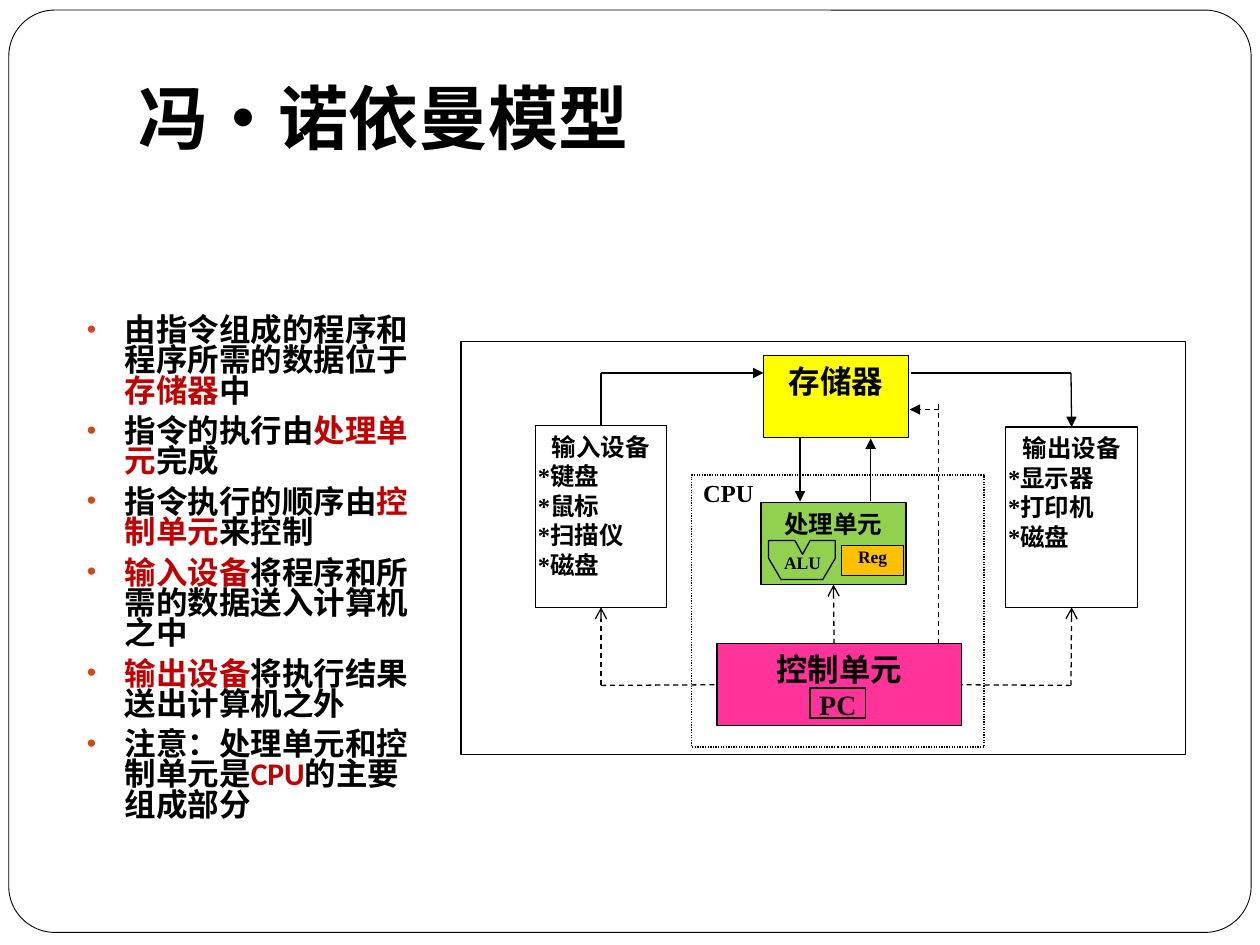
import lxml.etree
import pptx
import pptx.dml.color
import pptx.enum.dml
import pptx.enum.shapes
import pptx.enum.text
import pptx.oxml.ns
import pptx.util

Inches = pptx.util.Inches
Pt = pptx.util.Pt
RGBColor = pptx.dml.color.RGBColor
Shape = pptx.enum.shapes.MSO_SHAPE
Align = pptx.enum.text.PP_ALIGN
Anchor = pptx.enum.text.MSO_ANCHOR
Dash = pptx.enum.dml.MSO_LINE

BLACK = RGBColor(0x00, 0x00, 0x00)
WHITE = RGBColor(0xFF, 0xFF, 0xFF)
RED = RGBColor(0xC0, 0x00, 0x00)
ORANGE_RED = RGBColor(0xD3, 0x48, 0x17)
YELLOW = RGBColor(0xFF, 0xFF, 0x00)
GREEN = RGBColor(0x92, 0xD0, 0x50)
ORANGE = RGBColor(0xFF, 0xC0, 0x00)
PINK = RGBColor(0xFF, 0x33, 0x99)

CJK_FONT = "Noto Sans CJK SC"
BODY_FONT = "Calibri"
DIAGRAM_FONT = "Times New Roman"

TOP, LEFT, BOTTOM, RIGHT = range(4)

# Each bullet is a list of runs: (text, highlighted)
BULLETS = [
    [("由指令组成的程序和程序所需的数据位于", False), ("存储器", True), ("中", False)],
    [("指令的执行由", False), ("处理单元", True), ("完成", False)],
    [("指令执行的顺序由", False), ("控制单元", True), ("来控制", False)],
    [("输入设备", True), ("将程序和所需的数据送入计算机之中", False)],
    [("输出设备", True), ("将执行结果送出计算机之外", False)],
    [("注意：处理单元和控制单元是", False), ("CPU", True), ("的主要组成部分", False)],
]


def add_element(parent, tag, **attributes):
    return lxml.etree.SubElement(parent, pptx.oxml.ns.qn(tag), attributes)


def add_run(paragraph, text, size=18, font=DIAGRAM_FONT, color=BLACK):
    run = paragraph.add_run()
    run.text = text
    run.font.size = Pt(size)
    run.font.bold = True
    run.font.color.rgb = color
    run.font.name = font
    add_element(run._r.get_or_add_rPr(), "a:ea", typeface=CJK_FONT)


class DiagramSlide:
    """Holds the line style and the slide being drawn."""

    line_width = Pt(0.75)
    wide_insets = (0.1, 0.05)
    tight_insets = (0.02, 0)

    def __init__(self, slide):
        self.slide = slide

    def place(self, shape, left, top, width, height):
        shape.left, shape.top = Inches(left), Inches(top)
        shape.width, shape.height = Inches(width), Inches(height)
        shape.text_frame.word_wrap = True
        shape.text_frame.auto_size = pptx.enum.text.MSO_AUTO_SIZE.NONE

    def title(self, text, *bounds):
        title = self.slide.shapes.title
        self.place(title, *bounds)
        title.text_frame.vertical_anchor = Anchor.MIDDLE
        paragraph = title.text_frame.paragraphs[0]
        paragraph.alignment = Align.LEFT
        add_run(paragraph, text, size=40, font=CJK_FONT)

    def bullets(self, items, *bounds):
        body = self.slide.placeholders[1]
        self.place(body, *bounds)
        frame = body.text_frame
        frame.vertical_anchor = Anchor.TOP
        for index, runs in enumerate(items):
            paragraph = frame.add_paragraph() if index else frame.paragraphs[0]
            properties = paragraph._p.get_or_add_pPr()
            properties.set("marL", str(Inches(0.3)))
            properties.set("indent", str(Inches(-0.3)))
            bullet_color = add_element(properties, "a:buClr")
            add_element(bullet_color, "a:srgbClr", val=str(ORANGE_RED))
            add_element(properties, "a:buSzPct", val="85000")
            add_element(properties, "a:buFont", typeface="Arial")
            add_element(properties, "a:buChar", char="•")
            paragraph.line_spacing = 0.8
            paragraph.space_before = Pt(5.8 if index else 0)
            for text, highlighted in runs:
                add_run(paragraph, text, font=BODY_FONT, color=RED if highlighted else BLACK)

    def outline(self, shape, fill=None, dash=None):
        shape.shadow.inherit = False
        if fill is None:
            shape.fill.background()
        else:
            shape.fill.solid()
            shape.fill.fore_color.rgb = fill
        shape.line.color.rgb = BLACK
        shape.line.width = self.line_width
        if dash:
            shape.line.dash_style = dash

    def set_lines(self, shape, lines, size, insets):
        """Centre the first line as a heading and align the rest left."""
        frame = shape.text_frame
        frame.word_wrap = True
        frame.vertical_anchor = Anchor.TOP
        frame.margin_left = frame.margin_right = Inches(insets[0])
        frame.margin_top = frame.margin_bottom = Inches(insets[1])
        for index, line in enumerate(lines):
            paragraph = frame.add_paragraph() if index else frame.paragraphs[0]
            paragraph.alignment = Align.LEFT if index else Align.CENTER
            add_run(paragraph, line, size=size)

    def box(self, *bounds, lines=(), size=18, insets=wide_insets, fill=None, dash=None,
            kind=Shape.RECTANGLE):
        shape = self.slide.shapes.add_shape(kind, *map(Inches, bounds))
        self.outline(shape, fill, dash)
        if lines:
            self.set_lines(shape, lines, size, insets)
        return shape

    def label(self, text, *bounds, size):
        shape = self.slide.shapes.add_textbox(*map(Inches, bounds))
        self.set_lines(shape, [text], size, self.tight_insets)

    def polygon(self, points):
        corners = [(Inches(x), Inches(y)) for x, y in points]
        builder = self.slide.shapes.build_freeform(*corners[0])
        builder.add_line_segments(corners[1:], close=True)
        self.outline(builder.convert_to_shape())

    def line(self, start, end, arrow=None, dashed=False, end_at=None):
        connector = self.slide.shapes.add_connector(
            pptx.enum.shapes.MSO_CONNECTOR.STRAIGHT, *map(Inches, start + end))
        connector.line.color.rgb = BLACK
        connector.line.width = self.line_width
        if dashed:
            connector.line.dash_style = Dash.DASH
        if arrow:
            add_element(connector.line._get_or_add_ln(), "a:tailEnd", type=arrow)
        add_element(connector._element.spPr, "a:effectLst")
        if end_at:
            connector.end_connect(*end_at)


def main():
    presentation = pptx.Presentation()
    presentation.slide_width, presentation.slide_height = Inches(10), Inches(7.5)
    slide = presentation.slides.add_slide(presentation.slide_layouts[1])
    diagram = DiagramSlide(slide)

    # Page frame, behind the text
    frame = diagram.box(0.07, 0.08, 9.86, 7.32, fill=WHITE, kind=Shape.ROUNDED_RECTANGLE)
    frame.adjustments[0] = 0.05
    frame.line.width = Pt(0.5)
    slide.shapes.title.element.addprevious(frame.element)

    # Title and list
    diagram.title("冯·诺依曼模型", 1, 0.3, 8.5, 1.25)
    diagram.bullets(BULLETS, 0.59, 2.47, 2.79, 4.33)

    # Units of the machine
    diagram.box(3.66, 2.71, 5.75, 3.28)
    diagram.box(6.06, 2.82, 1.15, 0.65, lines=["存储器"], fill=YELLOW)
    processor = diagram.box(6.04, 3.99, 1.15, 0.65, lines=["处理单元"], size=14, fill=GREEN)
    diagram.polygon([(6.1, 4.29), (6.31, 4.29), (6.37, 4.4), (6.43, 4.29), (6.63, 4.29),
                     (6.63, 4.43), (6.53, 4.6), (6.2, 4.6), (6.1, 4.43)])
    diagram.label("ALU", 6.15, 4.38, 0.44, 0.24, size=10)
    diagram.box(6.68, 4.33, 0.49, 0.24, lines=["Reg"], size=10,
                insets=diagram.tight_insets, fill=ORANGE)
    output_device = diagram.box(7.98, 3.39, 1.05, 1.43, size=14, insets=(0.02, 0.05),
                                lines=["输出设备", "*显示器", "*打印机", "*磁盘"])
    input_device = diagram.box(4.25, 3.38, 1.04, 1.44, size=14, insets=(0.02, 0.05),
                               lines=["输入设备", "*键盘", "*鼠标", "*扫描仪", "*磁盘"])
    control = diagram.box(5.69, 5.11, 1.94, 0.65, lines=["控制单元"], fill=PINK)
    diagram.box(6.43, 5.46, 0.44, 0.24, lines=["PC"], size=16, insets=diagram.tight_insets)
    diagram.box(5.49, 3.77, 2.32, 2.16, dash=Dash.ROUND_DOT)
    diagram.label("CPU", 5.52, 3.79, 0.52, 0.19, size=14)

    # Data flow: solid lines
    input_x, output_x, data_y = 4.77, 8.5, 2.96
    diagram.line((input_x, data_y), (input_x, 3.38), end_at=(input_device, TOP))
    diagram.line((input_x, data_y), (6.06, data_y), arrow="triangle")
    diagram.line((7.23, data_y), (output_x, data_y))
    diagram.line((output_x, data_y), (output_x, 3.39), arrow="triangle",
                 end_at=(output_device, TOP))
    diagram.line((6.35, 3.48), (6.35, 3.98), arrow="triangle")
    diagram.line((6.91, 3.98), (6.91, 3.48), arrow="triangle")

    # Control flow: dashed lines
    control_y = 5.44
    for device, x, edge, side in ((input_device, input_x, 5.69, LEFT),
                                  (output_device, output_x, 7.63, RIGHT)):
        diagram.line((x, control_y), (edge, control_y), dashed=True, end_at=(control, side))
        diagram.line((x, control_y), (x, 4.82), arrow="arrow", dashed=True,
                     end_at=(device, BOTTOM))
    diagram.line((6.62, 5.11), (6.62, 4.64), arrow="arrow", dashed=True,
                 end_at=(processor, BOTTOM))
    diagram.line((7.45, 5.11), (7.45, 3.21), dashed=True)
    diagram.line((7.45, 3.25), (7.22, 3.25), arrow="triangle", dashed=True)

    presentation.save("out.pptx")


if __name__ == "__main__":
    main()
